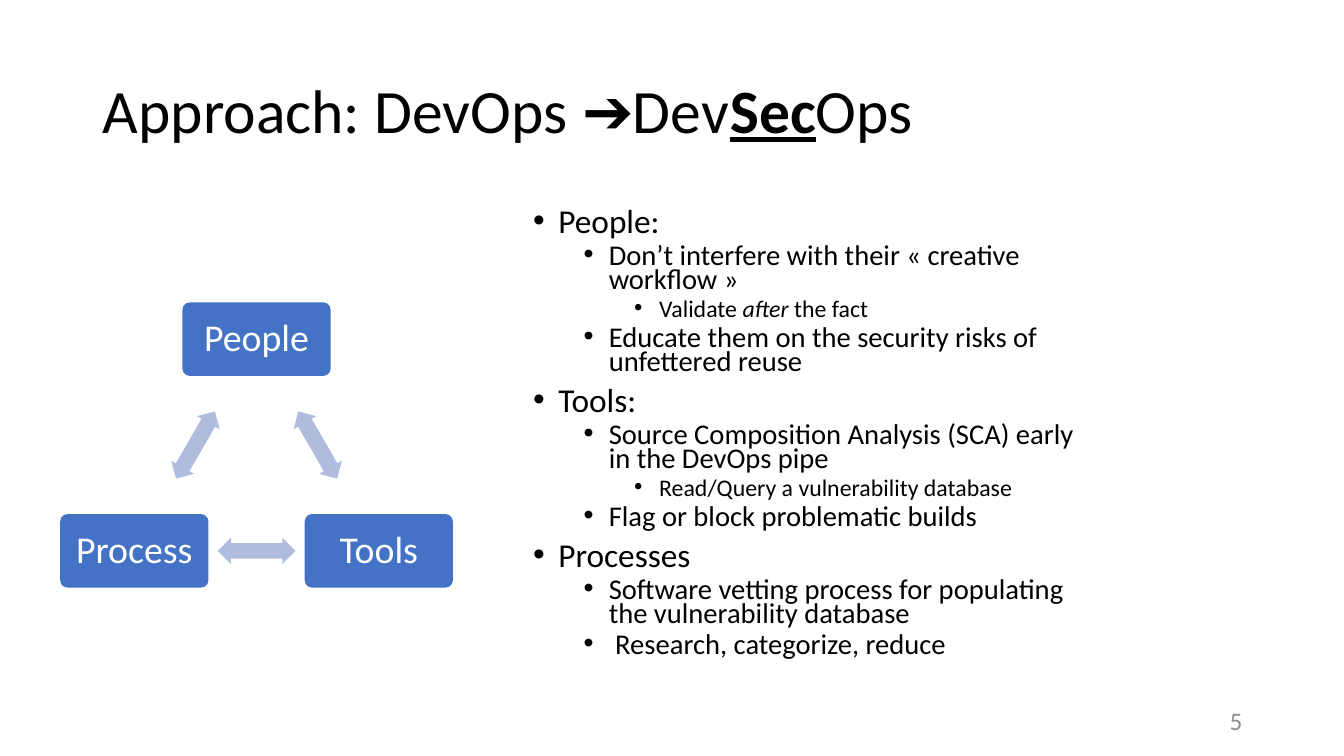
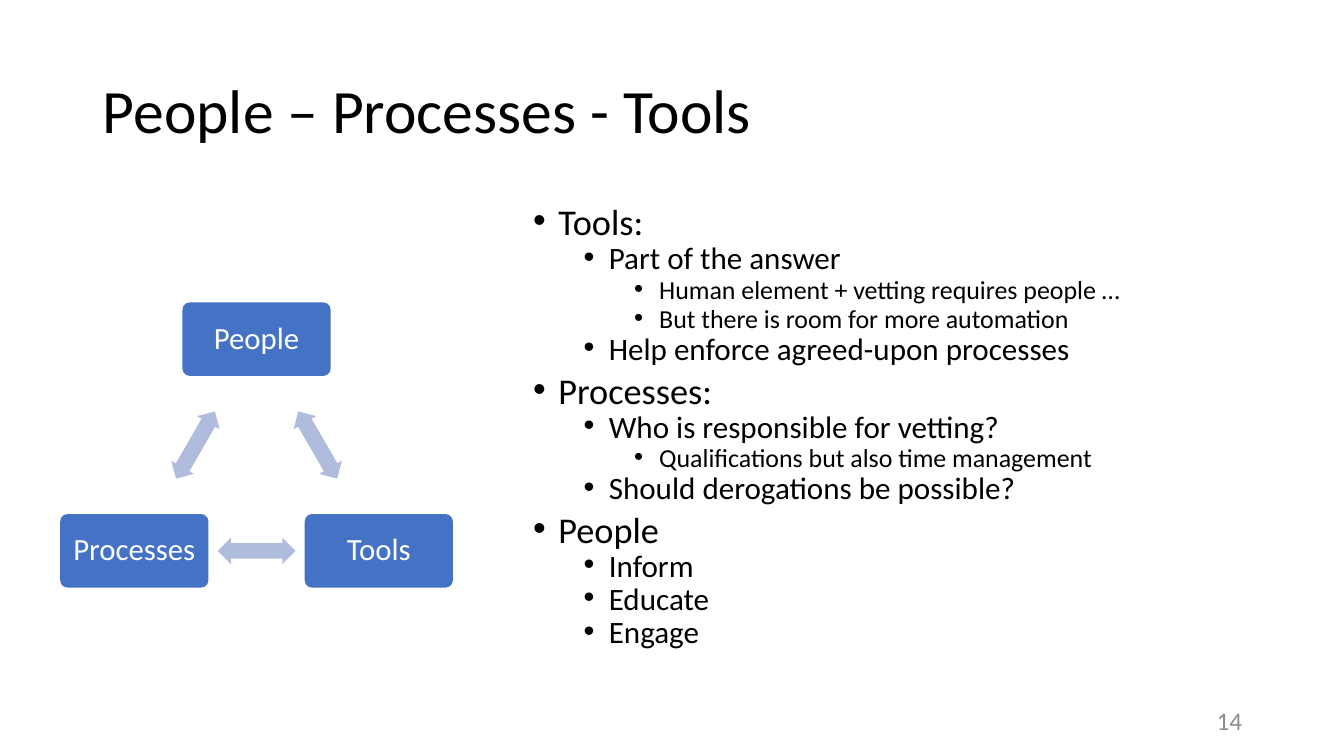
import math

from lxml import etree
from pptx import Presentation
from pptx import util as u
from pptx.dml.color import RGBColor
from pptx.enum import shapes, text
from pptx.oxml import ns

BLACK, WHITE, BLUE, PALE_BLUE, GREY = "000000", "FFFFFF", "4472C4", "B0BCDE", "8C8C8C"


def color(value):
    return RGBColor.from_string(value)


def apply(target, values):
    for name, value in values.items():
        setattr(target, name, value)


class Deck:
    FONT = "Calibri"
    LEVEL_SIZES = (28, 24, 20)
    LEVEL_SPACES = (10, 5, 5)
    CENTER = (2.545, 4.765)
    RADIUS = 1.4
    NODE = (1.47, 0.73)
    ARROW = (0.77, 0.26)

    def __init__(self):
        self.show = Presentation()
        apply(self.show, {"slide_width": u.Inches(13.33), "slide_height": u.Inches(7.5)})
        self.slide = None

    def place(self, shape, left, top, width, height):
        apply(shape, {"left": u.Inches(left), "top": u.Inches(top),
                      "width": u.Inches(width), "height": u.Inches(height)})

    def frame(self, shape, **values):
        apply(shape.text_frame, {"word_wrap": True, "auto_size": text.MSO_AUTO_SIZE.NONE, **values})
        return shape.text_frame

    def fill_paragraph(self, paragraph, content, size, ink, **layout):
        apply(paragraph, layout)
        for piece in [content] if isinstance(content, str) else content:
            words, emphasis = (piece, {}) if isinstance(piece, str) else piece
            run = paragraph.add_run()
            run.text = words
            apply(run.font, {"name": self.FONT, "size": u.Pt(size), **emphasis})
            run.font.color.rgb = color(ink)

    def textbox(self, left, top, width, height, **values):
        box = self.slide.shapes.add_textbox(
            u.Inches(left), u.Inches(top), u.Inches(width), u.Inches(height))
        return self.frame(box, **values)

    def start(self, heading, number):
        self.slide = self.show.slides.add_slide(self.show.slide_layouts[5])
        title = self.slide.shapes.title
        self.place(title, 0.92, 0.4, 11.5, 1.45)
        frame = self.frame(title, vertical_anchor=text.MSO_ANCHOR.MIDDLE)
        self.fill_paragraph(frame.paragraphs[0], heading, 44, BLACK,
                            alignment=text.PP_ALIGN.LEFT, line_spacing=0.9)
        footer = self.textbox(9.42, 6.95, 3, 0.4, vertical_anchor=text.MSO_ANCHOR.MIDDLE)
        self.fill_paragraph(footer.paragraphs[0], number, 18, GREY,
                            alignment=text.PP_ALIGN.RIGHT)

    def bullets(self, items, width, scale):
        frame = self.textbox(5.19, 2.05, width, 4.76)
        for index, (level, content) in enumerate(items):
            paragraph = frame.add_paragraph() if index else frame.paragraphs[0]
            size = round(self.LEVEL_SIZES[level] * scale, 1)
            self.fill_paragraph(paragraph, content, size, BLACK, level=level, line_spacing=0.7,
                                space_before=u.Pt(self.LEVEL_SPACES[level]))
            properties = paragraph._p.get_or_add_pPr()
            properties.set("marL", str(u.Inches(0.25 + 0.5 * level)))
            properties.set("indent", str(u.Inches(-0.25)))
            etree.SubElement(properties, ns.qn("a:buFont")).set("typeface", "Arial")
            etree.SubElement(properties, ns.qn("a:buChar")).set("char", "•")

    def block(self, kind, middle, size, fill, adjustments):
        (x, y), (width, height) = middle, size
        shape = self.slide.shapes.add_shape(
            kind, u.Inches(x - width / 2), u.Inches(y - height / 2),
            u.Inches(width), u.Inches(height))
        shape.shadow.inherit = False
        shape.fill.solid()
        shape.fill.fore_color.rgb = color(fill)
        shape.line.fill.background()
        for index, value in enumerate(adjustments):
            shape.adjustments[index] = value
        return shape

    def triangle(self, labels, size):
        corners = []
        for index in range(3):
            angle = math.radians(120 * index - 90)
            corners.append((self.CENTER[0] + self.RADIUS * math.cos(angle),
                            self.CENTER[1] + self.RADIUS * math.sin(angle)))
        inset = u.Inches(size * 0.004)
        for index, (label, corner) in enumerate(zip(labels, corners)):
            node = self.block(shapes.MSO_SHAPE.ROUNDED_RECTANGLE, corner, self.NODE, BLUE, [0.1])
            frame = self.frame(node, vertical_anchor=text.MSO_ANCHOR.MIDDLE, margin_left=inset,
                               margin_right=inset, margin_top=inset, margin_bottom=inset)
            self.fill_paragraph(frame.paragraphs[0], label, size, WHITE,
                                alignment=text.PP_ALIGN.CENTER, line_spacing=0.9)
            following = corners[(index + 1) % 3]
            middle = [(a + b) / 2 for a, b in zip(corner, following)]
            arrow = self.block(shapes.MSO_SHAPE.LEFT_RIGHT_ARROW, middle, self.ARROW,
                               PALE_BLUE, [0.6, 0.5])
            arrow.rotation = 60 + 120 * index


def main():
    deck = Deck()

    deck.start(["Approach: DevOps ➔Dev", ("Sec", {"bold": True, "underline": True}), "Ops"], "5")
    deck.bullets([
        (0, "People:"),
        (1, "Don’t interfere with their « creative workflow »"),
        (2, ["Validate ", ("after", {"italic": True}), " the fact"]),
        (1, "Educate them on the security risks of unfettered reuse"),
        (0, "Tools:"),
        (1, "Source Composition Analysis (SCA) early in the DevOps pipe"),
        (2, "Read/Query a vulnerability database"),
        (1, "Flag or block problematic builds"),
        (0, "Processes"),
        (1, "Software vetting process for populating the vulnerability database"),
        (1, " Research, categorize, reduce"),
    ], 5.6, 0.85)
    deck.triangle(["People", "Tools", "Process"], 27)

    deck.start("People – Processes - Tools", "14")
    deck.bullets([
        (0, "Tools:"),
        (1, "Part of the answer"),
        (2, "Human element + vetting requires people …"),
        (2, "But there is room for more automation"),
        (1, "Help enforce agreed-upon processes"),
        (0, "Processes:"),
        (1, "Who is responsible for vetting?"),
        (2, "Qualifications but also time management"),
        (1, "Should derogations be possible?"),
        (0, "People"),
        (1, "Inform"),
        (1, "Educate"),
        (1, "Engage"),
    ], 7.23, 0.925)
    deck.triangle(["People", "Tools", "Processes"], 22)

    deck.show.save("out.pptx")


if __name__ == "__main__":
    main()
